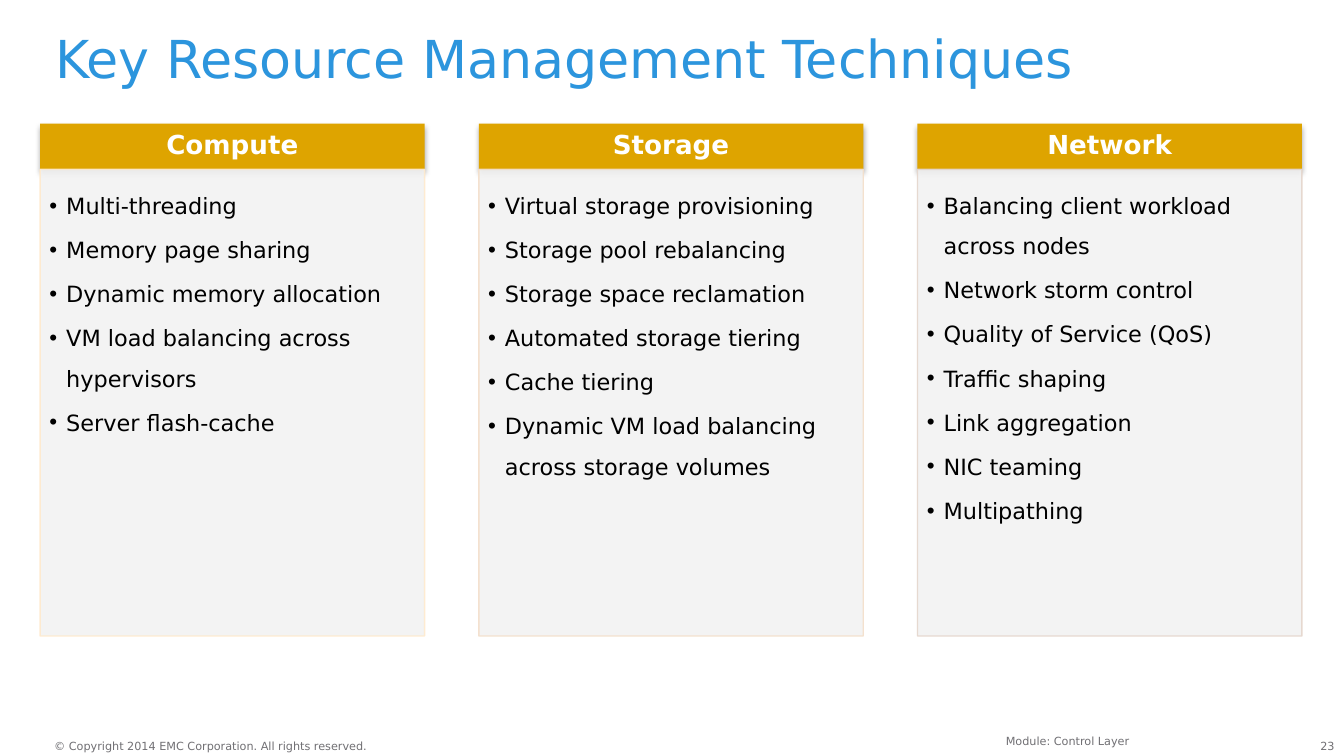
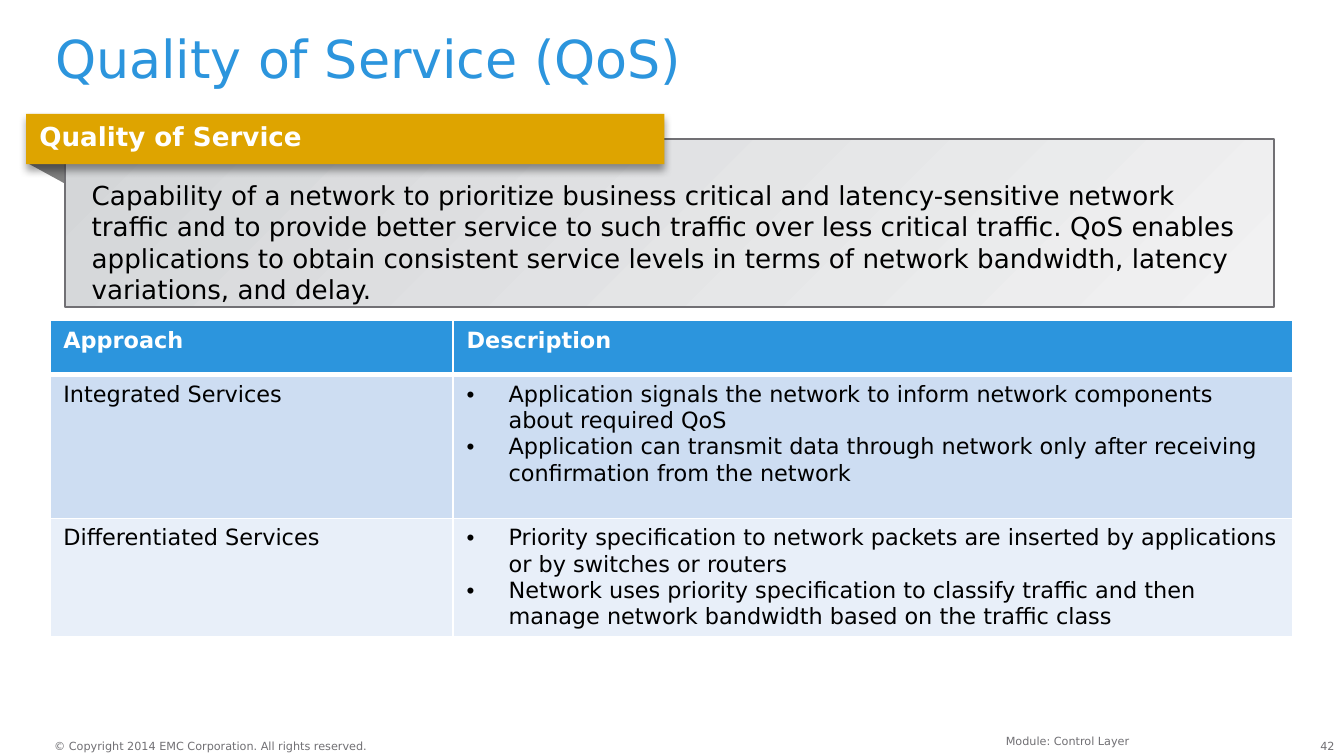
from lxml.etree import SubElement
from pptx import Presentation
from pptx.dml.color import RGBColor
from pptx.enum.shapes import MSO_SHAPE as Preset
from pptx.enum.text import MSO_ANCHOR as Anchor, MSO_AUTO_SIZE as AutoSize, PP_ALIGN as Align
from pptx.oxml.ns import qn
from pptx.util import Pt

# Shared look
FONT = "DejaVu Sans"
BLUE = RGBColor(0x2C, 0x95, 0xDD)
GOLD = RGBColor(0xDE, 0xA4, 0x00)
WHITE = RGBColor(0xFF, 0xFF, 0xFF)
BLACK = RGBColor(0x00, 0x00, 0x00)
GRAY = RGBColor(0x71, 0x70, 0x74)
FOLD_GRAY = RGBColor(0x80, 0x80, 0x80)
CARD_FILL = RGBColor(0xF2, 0xF2, 0xF2)
PANEL_START = RGBColor(0xD4, 0xD6, 0xD8)
PANEL_END = RGBColor(0xF1, 0xF1, 0xF2)
ROW_FILLS = [BLUE, RGBColor(0xCD, 0xDD, 0xF2), RGBColor(0xE8, 0xEF, 0xF9)]
COPYRIGHT = "© Copyright 2014 EMC Corporation. All rights reserved."
MODULE = "Module: Control Layer"

# Slide content: heading, outline colour, bullets
CARDS = [
    ("Compute", RGBColor(0xFF, 0xEA, 0xCD), [
        "Multi-threading", "Memory page sharing", "Dynamic memory allocation",
        "VM load balancing across hypervisors", "Server flash-cache"]),
    ("Storage", RGBColor(0xF4, 0xDF, 0xCA), [
        "Virtual storage provisioning", "Storage pool rebalancing",
        "Storage space reclamation", "Automated storage tiering", "Cache tiering",
        "Dynamic VM load balancing across storage volumes"]),
    ("Network", RGBColor(0xE5, 0xD6, 0xCC), [
        "Balancing client workload across nodes", "Network storm control",
        "Quality of Service (QoS)", "Traffic shaping", "Link aggregation",
        "NIC teaming", "Multipathing"]),
]
QOS_DEFINITION = (
    "Capability of a network to prioritize business critical and latency-sensitive "
    "network traffic and to provide better service to such traffic over less critical "
    "traffic. QoS enables applications to obtain consistent service levels in terms of "
    "network bandwidth, latency variations, and delay.")
APPROACHES = [
    ("Approach", ["Description"]),
    ("Integrated Services", [
        "Application signals the network to inform network components about required QoS",
        "Application can transmit data through network only after receiving "
        "confirmation from the network"]),
    ("Differentiated Services", [
        "Priority specification to network packets are inserted by applications or by "
        "switches or routers",
        "Network uses priority specification to classify traffic and then manage "
        "network bandwidth based on the traffic class"]),
]


def write(frame, lines, size, color, bold=False, align=Align.LEFT, spacing=None):
    frame.text = "\n".join(lines)
    for para in frame.paragraphs:
        para.alignment = align
        if spacing:
            para.line_spacing = spacing
        for span in para.runs:
            font = span.font
            font.name, font.size, font.bold = FONT, Pt(size), bold
            font.color.rgb = color


def set_frame(frame, insets, anchor=Anchor.TOP, wrap=True):
    frame.word_wrap = wrap
    frame.auto_size = AutoSize.NONE
    frame.vertical_anchor = anchor
    (frame.margin_left, frame.margin_top,
     frame.margin_right, frame.margin_bottom) = map(Pt, insets)


def add_bullets(frame, indent):
    for para in frame.paragraphs:
        props = para._p.get_or_add_pPr()
        props.set("marL", str(Pt(indent)))
        props.set("indent", str(-Pt(indent)))
        SubElement(props, qn("a:buFont"), typeface="Arial")
        SubElement(props, qn("a:buChar"), char="•")


def paint(shape, fill, line=None, width=0.75):
    shape.shadow.inherit = False
    shape.fill.solid()
    shape.fill.fore_color.rgb = fill
    if line is None:
        shape.line.fill.background()
    else:
        shape.line.color.rgb = line
        shape.line.width = Pt(width)


def add_rect(page, left, top, width, height, fill, line=None, line_width=0.75):
    shape = page.shapes.add_shape(
        Preset.RECTANGLE, Pt(left), Pt(top), Pt(width), Pt(height))
    paint(shape, fill, line, line_width)
    return shape


def add_shadow(shape, opacity, blur, distance):
    effects = shape.element.spPr.find(qn("a:effectLst"))
    shadow = SubElement(effects, qn("a:outerShdw"), blurRad=str(Pt(blur)),
                        dist=str(Pt(distance)), dir="5400000", rotWithShape="0")
    color = SubElement(shadow, qn("a:srgbClr"), val=str(BLACK))
    SubElement(color, qn("a:alpha"), val=str(opacity * 1000))


def set_opacity(shape, opacity):
    for color in shape.element.spPr.iter(qn("a:srgbClr")):
        SubElement(color, qn("a:alpha"), val=str(opacity * 1000))


def add_small_text(page, text, left, top, width, height, insets,
                   align=Align.LEFT, wrap=True):
    box = page.shapes.add_textbox(Pt(left), Pt(top), Pt(width), Pt(height))
    set_frame(box.text_frame, insets, wrap=wrap)
    write(box.text_frame, [text], 6, GRAY, align=align)


def add_page(deck, title, number):
    page = deck.slides.add_slide(deck.slide_layouts[0])
    subtitle = page.placeholders[1].element
    subtitle.getparent().remove(subtitle)
    heading = page.shapes.title
    heading.left, heading.top, heading.width, heading.height = map(Pt, (29.5, 18, 666, 36))
    set_frame(heading.text_frame, (0, 0, 0, 0))
    write(heading.text_frame, [title], 28, BLUE, spacing=0.9)
    # Footer
    flush = (0, 0, 0, 0)
    add_small_text(page, str(number), 692.5, 396, 22.5, 7, flush, Align.RIGHT)
    add_small_text(page, COPYRIGHT, 29, 396, 170.5, 7, flush, wrap=False)
    add_small_text(page, MODULE, 204, 390, 408, 11, (7.2, 3.6, 7.2, 3.6), Align.RIGHT)
    return page


def add_card(page, left, heading, outline, bullets):
    top, width, head_height = 66.25, 206, 24.5
    head = add_rect(page, left, top, width, head_height, GOLD)
    add_shadow(head, 35, 3.1, 1.8)
    set_frame(head.text_frame, (8, 4, 8, 4), Anchor.MIDDLE)
    write(head.text_frame, [heading], 14, WHITE, True, Align.CENTER, 0.9)

    body = add_rect(page, left, top + head_height, width, 250, CARD_FILL, outline)
    set_opacity(body, 90)
    set_frame(body.text_frame, (5, 5, 6.5, 7))
    write(body.text_frame, bullets, 12, BLACK, spacing=1.5)
    add_bullets(body.text_frame, 9)
    for para in body.text_frame.paragraphs:
        para.level = 1
        para.space_after = Pt(2)


def add_definition(page, term, text):
    # Folded corner behind the panel
    outline = page.shapes.build_freeform(Pt(14), Pt(87))
    outline.add_line_segments([(Pt(35), Pt(87)), (Pt(35), Pt(98.5))], close=True)
    paint(outline.convert_to_shape(), FOLD_GRAY)

    panel = add_rect(page, 34.75, 74.5, 648, 90, PANEL_START, GRAY, 1)
    panel.fill.gradient()
    panel.fill.gradient_angle = 315
    stops = panel.fill.gradient_stops
    for stop, position, color in zip(stops, (0, 1), (PANEL_START, PANEL_END)):
        stop.position = position
        stop.color.rgb = color
    set_frame(panel.text_frame, (14.4, 21.6, 14.4, 3.6))
    write(panel.text_frame, [text], 14, BLACK)

    ribbon = add_rect(page, 14, 61, 342, 27, GOLD)
    add_shadow(ribbon, 40, 4, 3)
    set_frame(ribbon.text_frame, (7.2, 3.6, 7.2, 3.6))
    write(ribbon.text_frame, [term], 14, WHITE, bold=True)


def set_borders(cell, top, bottom):
    props = cell._tc.get_or_add_tcPr()
    for side, width in (("L", 1), ("R", 1), ("T", top), ("B", bottom)):
        line = SubElement(props, qn("a:ln" + side), w=str(Pt(width)))
        fill = SubElement(line, qn("a:solidFill"))
        SubElement(fill, qn("a:srgbClr"), val=str(WHITE))


def add_approach_table(page, rows):
    widths, heights = (216, 450), (29, 77, 63.5)
    table = page.shapes.add_table(len(rows), len(widths), Pt(26.75), Pt(171.75),
                                  Pt(sum(widths)), Pt(sum(heights))).table
    table.horz_banding = False
    for column, width in zip(table.columns, widths):
        column.width = Pt(width)
    for index, (approach, description) in enumerate(rows):
        table.rows[index].height = Pt(heights[index])
        header = index == 0
        for column, lines in enumerate(([approach], description)):
            cell = table.cell(index, column)
            set_borders(cell, 3 if index == 1 else 1, 3 if header else 1)
            cell.fill.solid()
            cell.fill.fore_color.rgb = ROW_FILLS[index]
            write(cell.text_frame, lines, 12, WHITE if header else BLACK, header)
            if column == 1 and not header:
                add_bullets(cell.text_frame, 22.5)


def main():
    deck = Presentation()
    deck.slide_width, deck.slide_height = Pt(720), Pt(405)

    # Techniques in three columns
    page = add_page(deck, "Key Resource Management Techniques", 23)
    for index, card in enumerate(CARDS):
        add_card(page, 21.5 + 235 * index, *card)

    # Quality of service
    page = add_page(deck, "Quality of Service (QoS)", 42)
    add_definition(page, "Quality of Service", QOS_DEFINITION)
    add_approach_table(page, APPROACHES)

    deck.save("out.pptx")


if __name__ == "__main__":
    main()
